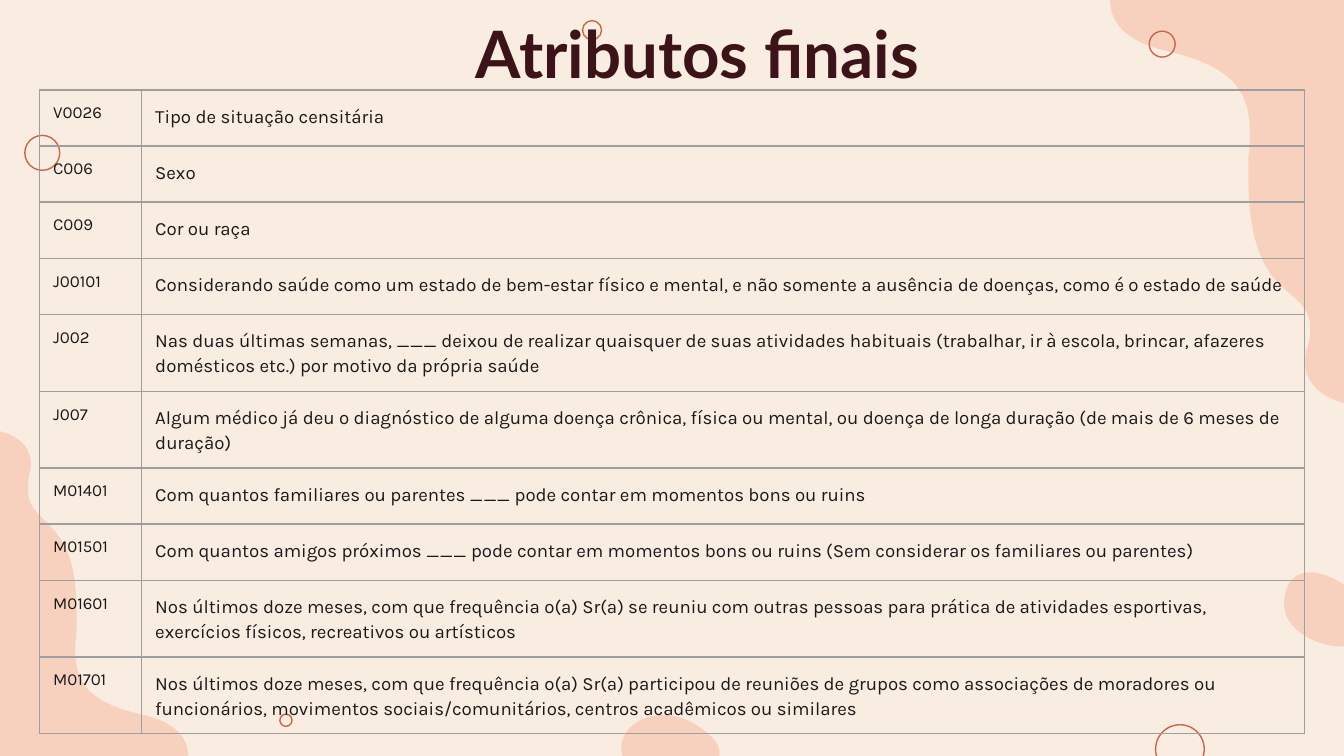
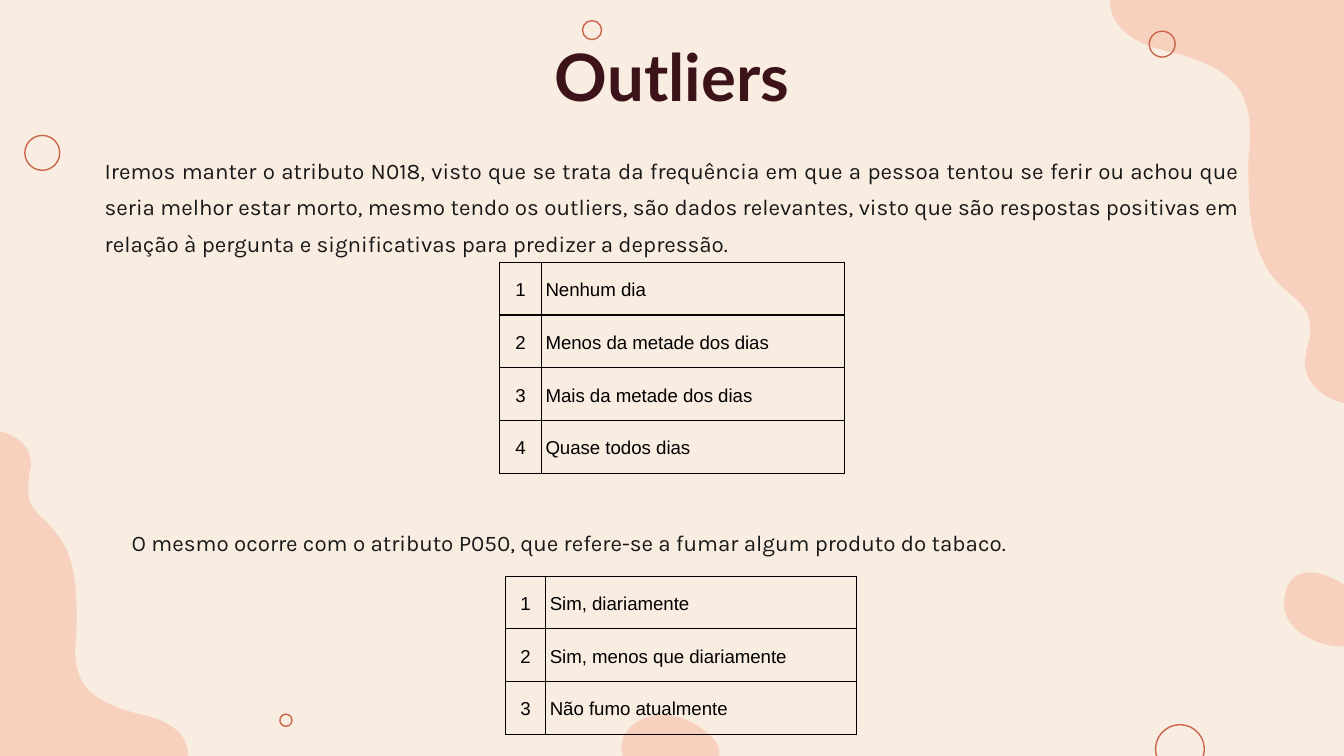
import pptx
import pptx.dml.color
import pptx.enum.shapes
import pptx.enum.text
import pptx.oxml
import pptx.oxml.ns
import pptx.util
from lxml import etree

Cm = pptx.util.Cm
Pt = pptx.util.Pt
qn = pptx.oxml.ns.qn
ALIGN = pptx.enum.text.PP_ALIGN
ANCHOR = pptx.enum.text.MSO_ANCHOR
AUTO_SIZE = pptx.enum.text.MSO_AUTO_SIZE

CREAM = "F9ECE1"
PEACH = "F57445"
TERRACOTTA = "C9654A"
WINE = "3C1319"
INK = "191919"
GREY = "9E9E9E"
BLACK = "000000"

PEACH_OPACITY = 22
HAIRLINE = Pt(0.75)
INSET = Cm(2.54) // 10
NARROW_INSET = Cm(0.08)
BLOB_UNIT = Cm(2.54) / 100

TITLE_FONT = {"name": "Lato", "size": Pt(35), "bold": True}
BODY_FONT = {"name": "Karla", "size": Pt(12)}
CODE_FONT = {"name": "Karla", "size": Pt(9)}
QUESTION_FONT = {"name": "Karla", "size": Pt(10)}
ANSWER_FONT = {"name": "Arial", "size": Pt(10)}

MARGINS = {"margin_left": INSET, "margin_right": INSET,
           "margin_top": INSET, "margin_bottom": INSET}
TITLE_FRAME = {**MARGINS, "word_wrap": True, "auto_size": AUTO_SIZE.NONE,
               "vertical_anchor": ANCHOR.TOP}
BODY_FRAME = {**TITLE_FRAME, "auto_size": AUTO_SIZE.SHAPE_TO_FIT_TEXT}
ATTRIBUTE_CELL = {**MARGINS, "vertical_anchor": ANCHOR.TOP}
ANSWER_CELL = {**MARGINS, "margin_left": NARROW_INSET, "margin_right": NARROW_INSET,
               "vertical_anchor": ANCHOR.MIDDLE}

ATTRIBUTE_STYLE = {
    "border": GREY, "color": INK, "cell": ATTRIBUTE_CELL,
    "columns": [
        (CODE_FONT, {"alignment": ALIGN.LEFT}),
        (QUESTION_FONT, {"alignment": ALIGN.LEFT, "line_spacing": 1.15}),
    ],
}
ANSWER_STYLE = {
    "border": BLACK, "color": BLACK, "cell": ANSWER_CELL,
    "columns": [
        (ANSWER_FONT, {"alignment": ALIGN.CENTER, "line_spacing": 1.15}),
        (ANSWER_FONT, {"alignment": ALIGN.LEFT, "line_spacing": 1.15}),
    ],
}

BLOBS = [
    [(0, 562.5), (140, 562.5),
     [(140, 551), (133, 538), (106, 532), (63, 522), (56, 506), (56, 483),
      (56, 478), (57, 474), (57, 468), (57, 464), (57, 459), (57, 454),
      (57, 430), (53, 410), (42, 397), (32, 383), (21, 381), (21, 365),
      (21, 362), (21, 357), (22, 352), (23, 350), (23, 348), (23, 345),
      (23, 330), (9, 323), (0, 321)]],
    [(1000, 0), (826, 0),
     [(826, 14), (834, 30), (868, 38), (921, 50), (930, 71), (930, 99),
      (930, 105), (930, 110), (929, 117), (929, 123), (929, 129), (929, 135),
      (929, 164), (934, 189), (947, 206), (960, 222), (975, 225), (975, 245),
      (975, 250), (974, 255), (972, 261), (972, 264), (971, 267), (971, 269),
      (971, 289), (989, 297), (1000, 300)]],
    [None, (975, 426),
     [(966, 426), (958, 430), (956, 444), (951, 467), (979, 481), (997, 481),
      (1000, 481), (1003, 481), (1005, 480), (1020, 475), (1039, 467), (1038, 460),
      (1035, 439), (1015, 445), (1000, 435), (992, 430), (983, 426), (975, 426)]],
    [None, (493, 532),
     [(470, 532), (453, 552), (468, 571), (475, 580), (486, 583), (497, 583),
      (521, 583), (547, 566), (530, 549), (518, 537), (505, 532), (493, 532)]],
]
CIRCLES = [
    (21.84, 13.7, 0.92), (21.72, 0.59, 0.49), (11.01, 0.39, 0.36),
    (0.47, 2.56, 0.66), (5.29, 13.5, 0.23),
]

ATTRIBUTES = [
    ("V0026", "Tipo de situação censitária"),
    ("C006", "Sexo"),
    ("C009", "Cor ou raça"),
    ("J00101", "Considerando saúde como um estado de bem-estar físico e mental, e não somente "
               "a ausência de doenças, como é o estado de saúde"),
    ("J002", "Nas duas últimas semanas, ___ deixou de realizar quaisquer de suas atividades "
             "habituais (trabalhar, ir à escola, brincar, afazeres domésticos etc.) por motivo "
             "da própria saúde"),
    ("J007", "Algum médico já deu o diagnóstico de alguma doença crônica, física ou mental, "
             "ou doença de longa duração (de mais de 6 meses de duração)"),
    ("M01401", "Com quantos familiares ou parentes ___ pode contar em momentos bons ou ruins"),
    ("M01501", "Com quantos amigos próximos ___ pode contar em momentos bons ou ruins "
               "(Sem considerar os familiares ou parentes)"),
    ("M01601", "Nos últimos doze meses, com que frequência o(a) Sr(a) se reuniu com outras "
               "pessoas para prática de atividades esportivas, exercícios físicos, recreativos "
               "ou artísticos"),
    ("M01701", "Nos últimos doze meses, com que frequência o(a) Sr(a) participou de reuniões de "
               "grupos como associações de moradores ou funcionários, movimentos "
               "sociais/comunitários, centros acadêmicos ou similares"),
]
FREQUENCIES = ["Nenhum dia", "Menos da metade dos dias", "Mais da metade dos dias",
               "Quase todos dias"]
SMOKING = ["Sim, diariamente", "Sim, menos que diariamente", "Não fumo atualmente"]
N018_TEXT = (
    "Iremos manter o atributo N018, visto que se trata da frequência em que a pessoa tentou se "
    "ferir ou achou que seria melhor estar morto, mesmo tendo os outliers, são dados relevantes, "
    "visto que são respostas positivas em relação à pergunta e significativas para predizer a "
    "depressão."
)
P050_TEXT = "O mesmo ocorre com o atributo P050, que refere-se a fumar algum produto do tabaco."


def rgb(hex_color):
    return pptx.dml.color.RGBColor.from_string(hex_color)


def apply_format(target, values):
    for name, value in values.items():
        setattr(target, name, value)


def write_text(text_frame, text, font, color, paragraph_format):
    paragraph = text_frame.paragraphs[0]
    apply_format(paragraph, paragraph_format)
    run = paragraph.add_run()
    run.text = text
    apply_format(run.font, font)
    run.font.color.rgb = rgb(color)


def bend_lines(shape, control_count):
    lines = list(shape.element.iter(qn("a:lnTo")))[:control_count]
    for index in range(0, control_count, 3):
        curve = etree.Element(qn("a:cubicBezTo"))
        lines[index].addprevious(curve)
        for line in lines[index:index + 3]:
            curve.append(line[0])
            line.getparent().remove(line)


def add_blob(slide, corner, start, controls):
    outline = controls + ([corner] if corner else [])
    builder = slide.shapes.build_freeform(start[0] * BLOB_UNIT, start[1] * BLOB_UNIT)
    builder.add_line_segments([(x * BLOB_UNIT, y * BLOB_UNIT) for x, y in outline], close=True)
    shape = builder.convert_to_shape()
    bend_lines(shape, len(controls))
    shape.shadow.inherit = False
    shape.fill.solid()
    shape.fill.fore_color.rgb = rgb(PEACH)
    shape.line.fill.background()
    color = shape.element.spPr.find(".//" + qn("a:srgbClr"))
    etree.SubElement(color, qn("a:alpha"), val=str(PEACH_OPACITY * 1000))
    return shape


def add_circle(slide, left, top, diameter):
    shape = slide.shapes.add_shape(
        pptx.enum.shapes.MSO_SHAPE.OVAL, Cm(left), Cm(top), Cm(diameter), Cm(diameter))
    shape.shadow.inherit = False
    shape.fill.background()
    shape.line.color.rgb = rgb(TERRACOTTA)
    shape.line.width = HAIRLINE
    return shape


def decorate_layout(layout, slide):
    layout.background.fill.solid()
    layout.background.fill.fore_color.rgb = rgb(CREAM)
    for placeholder in list(layout.placeholders)[1:]:
        layout.shapes.element.remove(placeholder.element)
    shapes = [add_blob(slide, *blob) for blob in BLOBS]
    shapes += [add_circle(slide, *circle) for circle in CIRCLES]
    for shape in shapes:
        layout.shapes.element.append(shape.element)


def set_title(slide, text, left, top, width):
    title = slide.shapes.title
    apply_format(title, {"left": Cm(left), "top": Cm(top), "width": Cm(width), "height": Cm(2.11)})
    apply_format(title.text_frame, TITLE_FRAME)
    write_text(title.text_frame, text, TITLE_FONT, WINE, {"alignment": ALIGN.CENTER})


def add_body(slide, text, left, top, height):
    box = slide.shapes.add_textbox(Cm(left), Cm(top), Cm(21.95), Cm(height))
    apply_format(box.text_frame, BODY_FRAME)
    write_text(box.text_frame, text, BODY_FONT, INK,
               {"alignment": ALIGN.JUSTIFY, "line_spacing": 1.36})


def set_borders(cell, color):
    properties = cell._tc.get_or_add_tcPr()
    for side in ("lnL", "lnR", "lnT", "lnB"):
        line = etree.SubElement(properties, qn("a:" + side), w=str(HAIRLINE))
        fill = etree.SubElement(line, qn("a:solidFill"))
        etree.SubElement(fill, qn("a:srgbClr"), val=color)


def add_table(slide, rows, left, top, widths, row_height, style):
    table = slide.shapes.add_table(
        len(rows), len(widths), Cm(left), Cm(top),
        Cm(sum(widths)), Cm(row_height * len(rows))).table
    apply_format(table, {"first_row": False, "horz_banding": False})
    for column, width in zip(table.columns, widths):
        column.width = Cm(width)
    for row, texts in zip(table.rows, rows):
        row.height = Cm(row_height)
        for cell, text, (font, paragraph_format) in zip(row.cells, texts, style["columns"]):
            set_borders(cell, style["border"])
            cell.fill.background()
            apply_format(cell, style["cell"])
            write_text(cell.text_frame, text, font, style["color"], paragraph_format)


def numbered(answers):
    return [(str(number), answer) for number, answer in enumerate(answers, 1)]


def build_attributes(slide):
    set_title(slide, "Atributos finais", 1.83, 0, 22.71)
    add_table(slide, ATTRIBUTES, 0.75, 1.7, [1.93, 21.97], 1.06, ATTRIBUTE_STYLE)


def build_outliers(slide):
    set_title(slide, "Outliers", 0, 0.43, 25.4)
    add_body(slide, N018_TEXT, 1.73, 2.53, 2.41)
    add_table(slide, numbered(FREQUENCIES), 9.44, 4.96, [0.79, 5.73], 0.56, ANSWER_STYLE)
    add_body(slide, P050_TEXT, 2.24, 9.56, 1.02)
    add_table(slide, numbered(SMOKING), 9.55, 10.89, [0.76, 5.87], 0.56, ANSWER_STYLE)


def main():
    presentation = pptx.Presentation()
    presentation.slide_width = Cm(25.4)
    presentation.slide_height = Cm(14.29)
    layout = presentation.slide_layouts.get_by_name("Title Only")
    attributes_slide = presentation.slides.add_slide(layout)
    decorate_layout(layout, attributes_slide)
    build_attributes(attributes_slide)
    build_outliers(presentation.slides.add_slide(layout))
    presentation.save("out.pptx")


if __name__ == "__main__":
    main()
